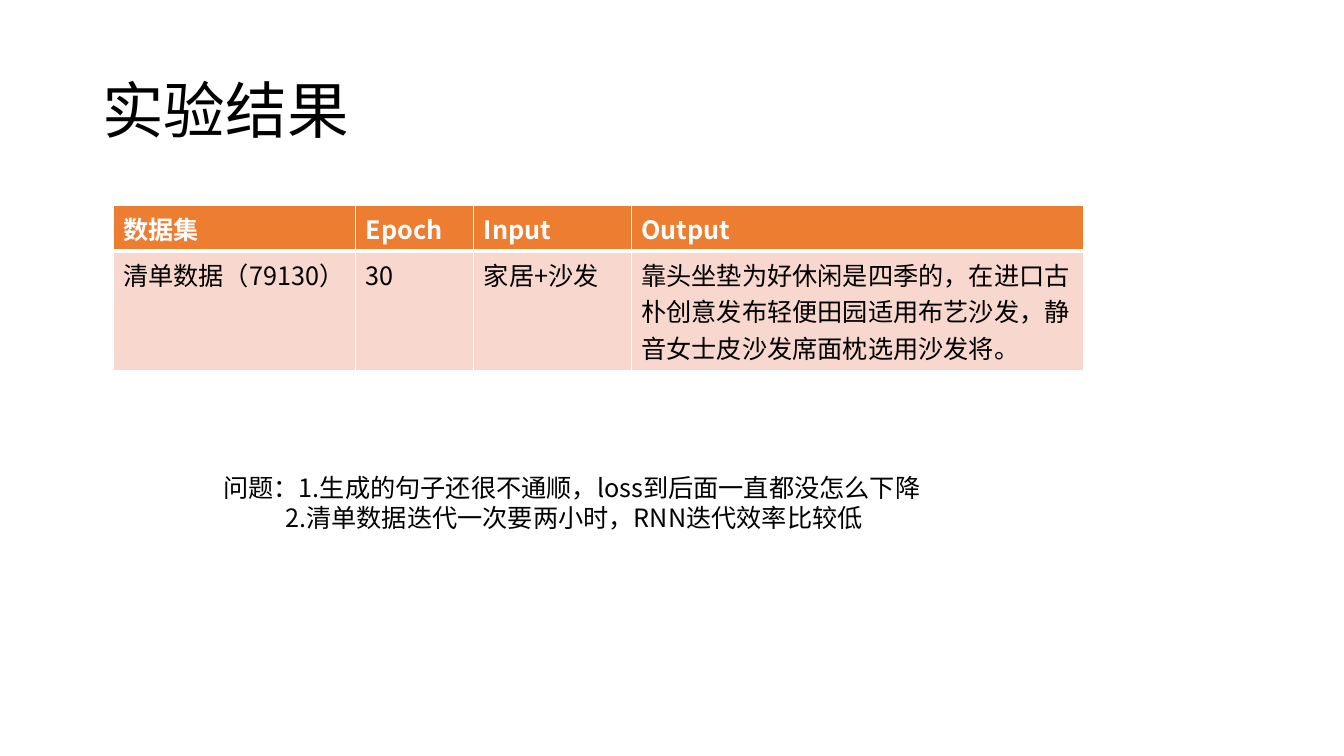
"""Build the experiment results slide with its table and list of problems."""
from dataclasses import dataclass

from lxml import etree
from pptx import Presentation, util as u
from pptx.dml.color import RGBColor
from pptx.enum import text as t
from pptx.oxml.ns import qn

FONT = "Noto Sans CJK SC"
BLACK, WHITE = "000000", "FFFFFF"
EDGES = ("lnL", "lnR", "lnT", "lnB")


@dataclass
class Column:
    heading: str
    result: str
    width: float


@dataclass
class RowStyle:
    height: float
    fill: str
    color: str
    bold: bool
    thick_edge: str


COLUMNS = [
    Column("数据集", "清单数据（79130）", 6.11),
    Column("Epoch", "30", 2.98),
    Column("Input", "家居+沙发", 3.97),
    Column("Output", "靠头坐垫为好休闲是四季的，在进口古朴创意发布轻便田园适用布艺沙发，"
                     "静音女士皮沙发席面枕选用沙发将。", 11.41),
]
ROW_STYLES = [
    RowStyle(1.16, "ED7D31", WHITE, True, "lnB"),
    RowStyle(3.02, "F8D7CE", BLACK, False, "lnT"),
]


def rgb(value: str) -> RGBColor:
    """Turn a hex string into a colour."""
    return RGBColor.from_string(value)


def write(paragraph, content: str, *, size: float = 18, color: str = BLACK,
          bold: bool = False, indent: float = 0, spacing: float = 1) -> None:
    """Put formatted text into a paragraph."""
    paragraph.line_spacing = spacing
    if indent:
        properties = paragraph._p.get_or_add_pPr()
        properties.set("marL", str(u.Cm(indent)))
        properties.set("indent", "0")
    run = paragraph.add_run()
    run.text = content
    run.font.size = u.Pt(size)
    run.font.bold = bold
    run.font.color.rgb = rgb(color)
    run.font.name = FONT
    etree.SubElement(run._r.get_or_add_rPr(), qn("a:ea"), typeface=FONT)


def add_box(slide, left: float, top: float, width: float, height: float,
            anchor=t.MSO_ANCHOR.TOP):
    """Add a wrapping text box and return its text frame."""
    box = slide.shapes.add_textbox(u.Cm(left), u.Cm(top), u.Cm(width), u.Cm(height))
    box.text_frame.word_wrap = True
    box.text_frame.vertical_anchor = anchor
    return box.text_frame


def draw_borders(cell, thick_edge: str) -> None:
    """Give a cell thin white borders and one thick one."""
    properties = cell._tc.get_or_add_tcPr()
    for edge in EDGES:
        width = u.Pt(3 if edge == thick_edge else 1)
        line = etree.SubElement(properties, qn(f"a:{edge}"), w=str(width))
        fill = etree.SubElement(line, qn("a:solidFill"))
        etree.SubElement(fill, qn("a:srgbClr"), val=WHITE)


def fill_cell(cell, content: str, style: RowStyle) -> None:
    """Write and format one table cell."""
    draw_borders(cell, style.thick_edge)
    cell.fill.solid()
    cell.fill.fore_color.rgb = rgb(style.fill)
    write(cell.text_frame.paragraphs[0], content, color=style.color, bold=style.bold)


def add_results(slide) -> None:
    """Add the table of results."""
    width = sum(column.width for column in COLUMNS)
    height = sum(style.height for style in ROW_STYLES)
    results = slide.shapes.add_table(
        len(ROW_STYLES), len(COLUMNS), u.Cm(2.85), u.Cm(5.17),
        u.Cm(width), u.Cm(height)).table
    results.horz_banding = False
    for row, style in zip(results.rows, ROW_STYLES):
        row.height = u.Cm(style.height)
    for index, column in enumerate(COLUMNS):
        results.columns[index].width = u.Cm(column.width)
        for row, content in enumerate((column.heading, column.result)):
            fill_cell(results.cell(row, index), content, ROW_STYLES[row])


def main() -> None:
    """Build and save the slide."""
    deck = Presentation()
    deck.slide_width, deck.slide_height = u.Cm(33.87), u.Cm(19.05)
    slide = deck.slides.add_slide(deck.slide_layouts[6])

    title = add_box(slide, 2.33, 1.01, 29.21, 3.68, t.MSO_ANCHOR.MIDDLE)
    write(title.paragraphs[0], "实验结果", size=44, spacing=0.9)

    add_results(slide)

    problems = add_box(slide, 5.38, 11.78, 18.85, 1.8)
    write(problems.paragraphs[0], "问题：1.生成的句子还很不通顺，loss到后面一直都没怎么下降")
    write(problems.add_paragraph(), "2.清单数据迭代一次要两小时，RNN迭代效率比较低", indent=1.56)

    deck.save("out.pptx")


if __name__ == "__main__":
    main()
